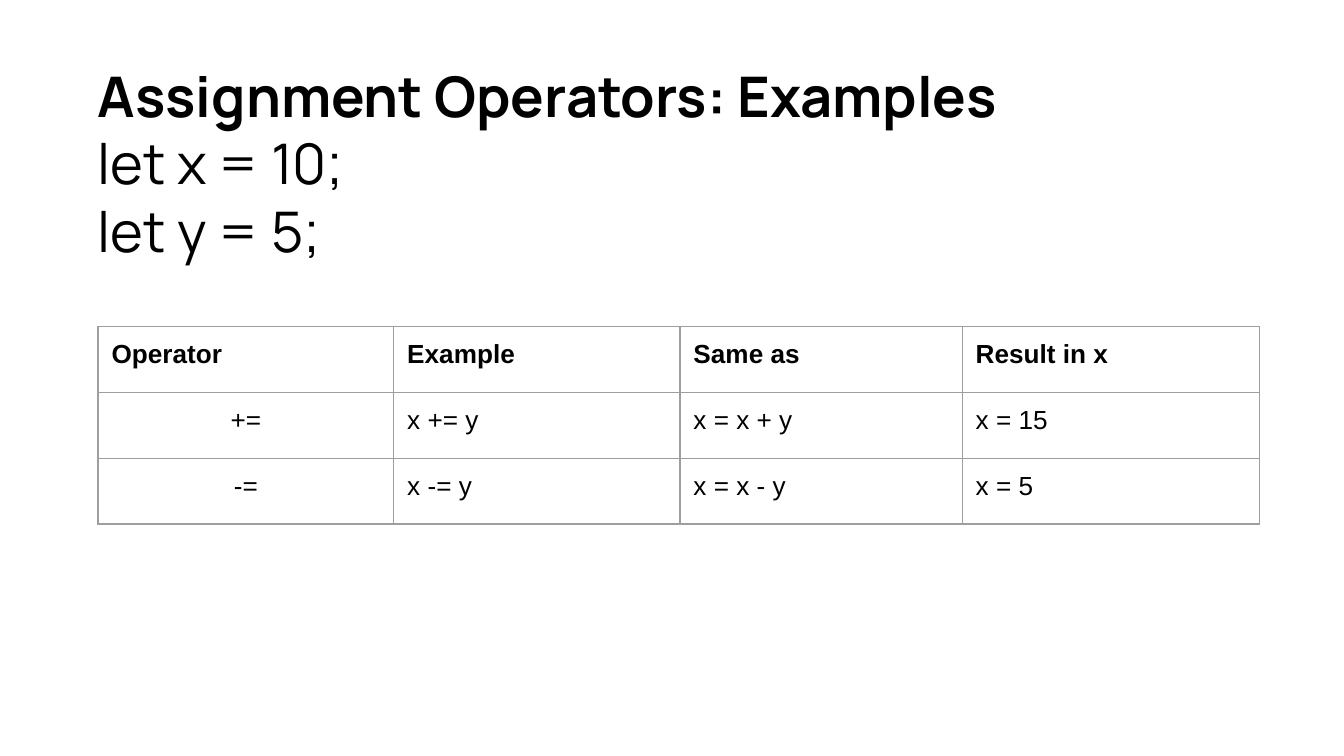
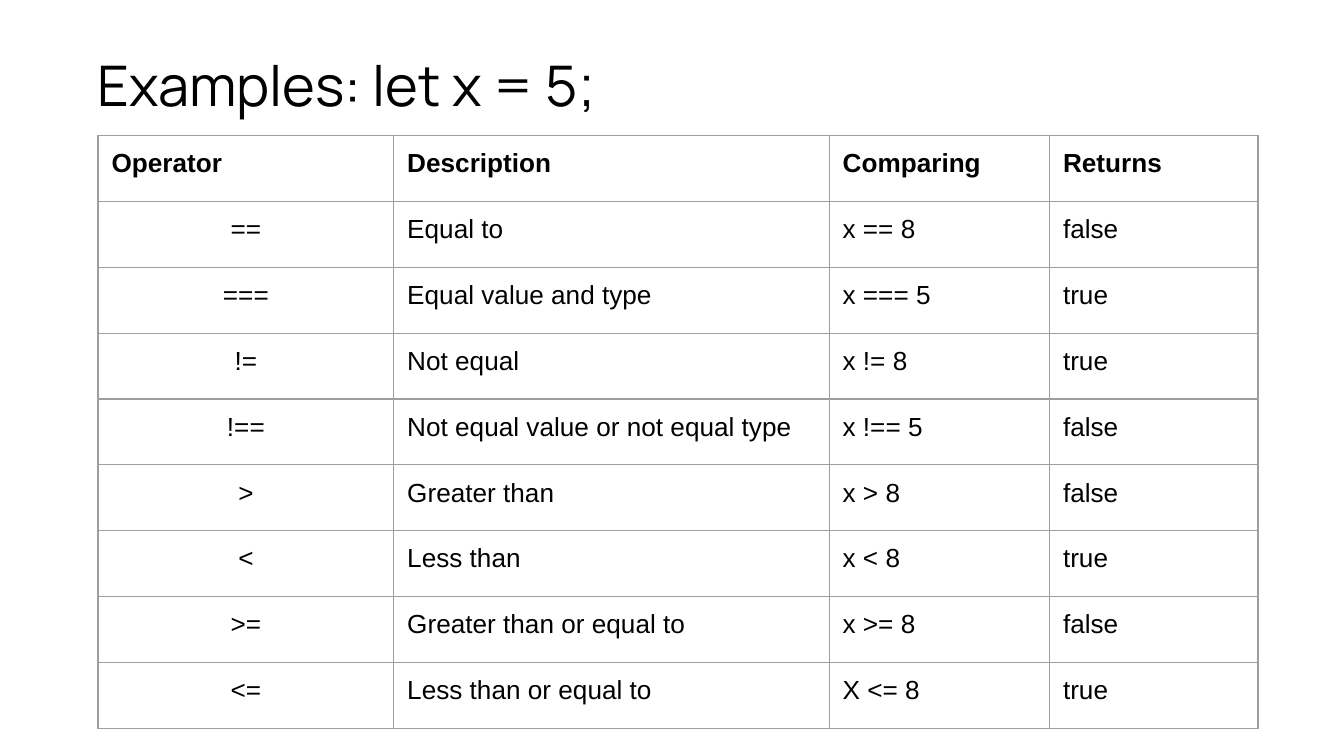
from dataclasses import dataclass

from lxml.etree import SubElement
from pptx import Presentation
from pptx.dml.color import RGBColor
from pptx.enum.text import MSO_ANCHOR as Anchor, PP_ALIGN as Align
from pptx.oxml.ns import qn
from pptx.slide import Slide
from pptx.table import _Cell as Cell
from pptx.text.text import TextFrame
from pptx.util import Inches, Pt


@dataclass(frozen=True)
class Theme:
    ink: RGBColor = RGBColor(0x00, 0x00, 0x00)
    paper: RGBColor = RGBColor(0xFF, 0xFF, 0xFF)
    rule: str = "9E9E9E"
    rule_width: Pt = Pt(0.75)
    title_font: str = "Manrope"
    title_size: Pt = Pt(30)
    cell_font: str = "Arial"
    cell_size: Pt = Pt(14)
    inset: Inches = Inches(0.1)


@dataclass(frozen=True)
class TitleLine:
    text: str
    bold: bool = False


@dataclass(frozen=True)
class OperatorSlide:
    title_top: float
    title: list[TitleLine]
    table_top: float
    column_widths: list[float]
    rows: list[tuple[str, ...]]


THEME = Theme()
SLIDE_WIDTH = Inches(10)
SLIDE_HEIGHT = SLIDE_WIDTH * 9 // 16
TITLE_LEFT, TITLE_WIDTH, TITLE_HEIGHT = Inches(0.63), Inches(8.41), Inches(0.73)
TABLE_LEFT, ROW_HEIGHT = Inches(0.73), Inches(0.49)

ASSIGNMENT = OperatorSlide(
    title_top=0.36,
    title=[
        TitleLine("Assignment Operators: Examples", bold=True),
        TitleLine("let x = 10;"),
        TitleLine("let y = 5;"),
    ],
    table_top=2.43,
    column_widths=[2.2, 2.13, 2.1, 2.21],
    rows=[
        ("Operator", "Example", "Same as", "Result in x"),
        ("+=", "x += y", "x = x + y", "x = 15"),
        ("-=", "x -= y", "x = x - y", "x = 5"),
    ],
)

COMPARISON = OperatorSlide(
    title_top=0.28,
    title=[TitleLine("Examples: let x = 5;")],
    table_top=1.01,
    column_widths=[2.2, 3.24, 1.64, 1.55],
    rows=[
        ("Operator", "Description", "Comparing", "Returns"),
        ("==", "Equal to", "x == 8", "false"),
        ("===", "Equal value and type", "x === 5", "true"),
        ("!=", "Not equal", "x != 8", "true"),
        ("!==", "Not equal value or not equal type", "x !== 5", "false"),
        (">", "Greater than", "x > 8", "false"),
        ("<", "Less than", "x < 8", "true"),
        (">=", "Greater than or equal to", "x >= 8", "false"),
        ("<=", "Less than or equal to", "X <= 8", "true"),
    ],
)


def style_text(frame: TextFrame, font: str, size: Pt, bolds: list[bool]) -> None:
    for paragraph, bold in zip(frame.paragraphs, bolds):
        for run in paragraph.runs:
            run.font.name = font
            run.font.size = size
            run.font.bold = bold
            run.font.color.rgb = THEME.ink


def set_insets(holder: TextFrame | Cell) -> None:
    holder.margin_left = holder.margin_right = THEME.inset
    holder.margin_top = holder.margin_bottom = THEME.inset


def draw_borders(cell: Cell) -> None:
    properties = cell._tc.get_or_add_tcPr()
    for index, side in enumerate(("a:lnL", "a:lnR", "a:lnT", "a:lnB")):
        line = properties.makeelement(qn(side), {"w": str(int(THEME.rule_width))})
        fill = SubElement(line, qn("a:solidFill"))
        SubElement(fill, qn("a:srgbClr"), val=THEME.rule)
        properties.insert(index, line)


def draw_title(slide: Slide, top: float, lines: list[TitleLine]) -> None:
    title = slide.shapes.add_textbox(TITLE_LEFT, Inches(top), TITLE_WIDTH, TITLE_HEIGHT)
    frame = title.text_frame
    frame.word_wrap = True
    frame.vertical_anchor = Anchor.TOP
    set_insets(frame)
    frame.text = "\n".join(line.text for line in lines)
    style_text(frame, THEME.title_font, THEME.title_size, [line.bold for line in lines])


def draw_operators(slide: Slide, content: OperatorSlide) -> None:
    rows, widths = content.rows, content.column_widths
    operators = slide.shapes.add_table(
        len(rows), len(widths), TABLE_LEFT, Inches(content.table_top),
        Inches(sum(widths)), ROW_HEIGHT * len(rows),
    ).table
    operators.first_row = operators.horz_banding = False
    for column, width in zip(operators.columns, widths):
        column.width = Inches(width)
    for row_index, row in enumerate(rows):
        operators.rows[row_index].height = ROW_HEIGHT
        is_header = row_index == 0
        for column_index, text in enumerate(row):
            cell = operators.cell(row_index, column_index)
            cell.fill.background()
            cell.vertical_anchor = Anchor.TOP
            set_insets(cell)
            draw_borders(cell)
            cell.text_frame.text = text
            style_text(cell.text_frame, THEME.cell_font, THEME.cell_size, [is_header])
            if column_index == 0 and not is_header:
                cell.text_frame.paragraphs[0].alignment = Align.CENTER


def main() -> None:
    deck = Presentation()
    deck.slide_width, deck.slide_height = SLIDE_WIDTH, SLIDE_HEIGHT
    blank = deck.slide_layouts[6]
    for content in (ASSIGNMENT, COMPARISON):
        slide = deck.slides.add_slide(blank)
        slide.background.fill.solid()
        slide.background.fill.fore_color.rgb = THEME.paper
        draw_operators(slide, content)
        draw_title(slide, content.title_top, content.title)
    deck.save("out.pptx")


if __name__ == "__main__":
    main()
